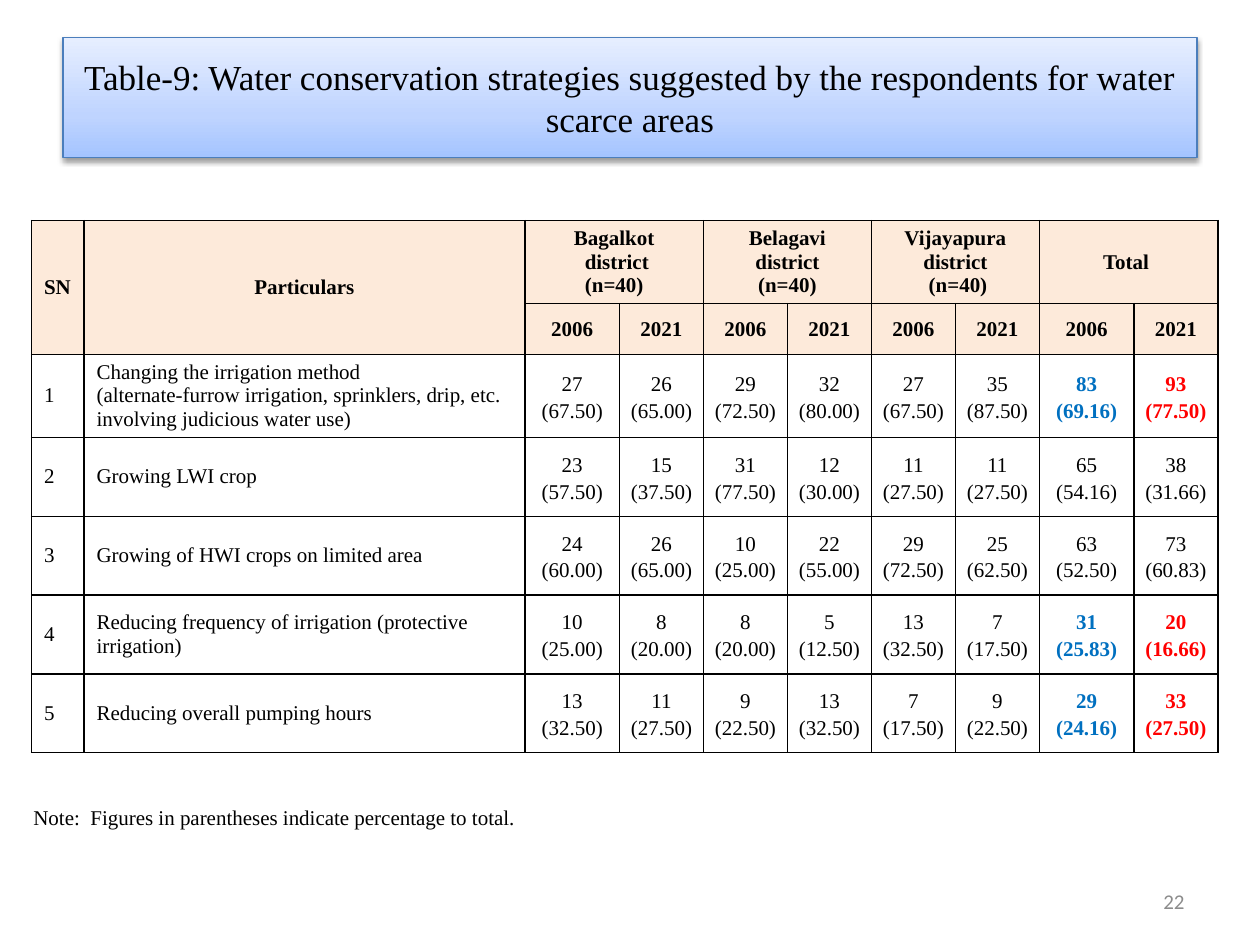
from copy import deepcopy

from lxml import etree
from pptx import Presentation
from pptx.dml.color import RGBColor
from pptx.enum.shapes import MSO_SHAPE
from pptx.enum.text import MSO_ANCHOR, PP_ALIGN
from pptx.oxml import parse_xml
from pptx.oxml.ns import qn
from pptx.util import Pt

RECTANGLE = MSO_SHAPE.RECTANGLE
TOP, MIDDLE = MSO_ANCHOR.TOP, MSO_ANCHOR.MIDDLE
LEFT, CENTER, RIGHT = PP_ALIGN.LEFT, PP_ALIGN.CENTER, PP_ALIGN.RIGHT
NAMESPACE = "http://schemas.openxmlformats.org/drawingml/2006/main"
COLORS = {
    "black": "000000", "header": "FDEADA", "blue": "0070C0", "red": "FF0000",
    "gray": "8C8C8C", "edge": "4B7EBC",
    "deep": "A4C4FF", "mid": "BFD4FF", "pale": "E6EEFF",
}
COLUMN_WIDTHS = [30, 252, 54, 48, 48, 48, 48, 48, 54, 48]
ROW_HEIGHTS = [47.5, 29, 47.5, 45, 45, 45, 45]
DISTRICT_SIZE = 40
GROUPS = [
    ["Bagalkot", " district", "(n=40)"],
    ["Belagavi district", "(n=40)"],
    ["Vijayapura district", " (n=40)"],
    ["Total "],
]
STRATEGIES = [
    (["Changing the irrigation method",
      "(alternate-furrow irrigation, sprinklers, drip, etc. involving judicious water use)"],
     [27, 26, 29, 32, 27, 35], True),
    (["Growing LWI crop"], [23, 15, 31, 12, 11, 11], False),
    (["Growing of HWI crops on limited area"], [24, 26, 10, 22, 29, 25], False),
    (["Reducing frequency of irrigation (protective irrigation)"],
     [10, 8, 8, 5, 13, 7], True),
    (["Reducing overall pumping hours"], [13, 11, 9, 13, 7, 9], True),
]


class SlideBuilder:
    """Draws styled elements on the current slide."""

    def __init__(self, page):
        self.page = page
        self.font = {"name": "Times New Roman", "size": Pt(12), "bold": False}

    def color(self, name):
        return RGBColor.from_string(COLORS[name])

    def fill_text(self, frame, lines, align=LEFT, color="black", spacing=None, **changes):
        for index, line in enumerate(lines):
            para = frame.add_paragraph() if index else frame.paragraphs[0]
            para.alignment = align
            para.line_spacing = spacing
            span = para.add_run()
            span.text = line
            for name, value in {**self.font, **changes}.items():
                setattr(span.font, name, value)
            span.font.color.rgb = self.color(color)

    def text(self, bounds, line, anchor=TOP, **style):
        box = self.page.shapes.add_textbox(*map(Pt, bounds))
        box.text_frame.word_wrap = True
        box.text_frame.vertical_anchor = anchor
        self.fill_text(box.text_frame, [line], **style)

    def banner(self, bounds, line, stops):
        box = self.page.shapes.add_shape(RECTANGLE, *map(Pt, bounds))
        box.line.color.rgb = self.color("edge")
        box.line.width = Pt(0.75)
        box.fill.gradient()
        stop_list = box._element.spPr.find(".//" + qn("a:gsLst"))
        stop_list.append(deepcopy(stop_list[-1]))
        for stop, (position, name) in zip(box.fill.gradient_stops, stops):
            stop.position = position
            stop.color.rgb = self.color(name)
        box.fill.gradient_angle = 90
        box.shadow.inherit = False
        box._element.spPr.find(qn("a:effectLst")).append(parse_xml(
            f'<a:outerShdw xmlns:a="{NAMESPACE}" blurRad="{Pt(3.1)}" dist="{Pt(1.6)}" '
            f'dir="5400000" rotWithShape="0"><a:srgbClr val="{COLORS["black"]}">'
            '<a:alpha val="38000"/></a:srgbClr></a:outerShdw>'))
        box.text_frame.word_wrap = True
        box.text_frame.vertical_anchor = MIDDLE
        self.fill_text(box.text_frame, [line], CENTER, size=Pt(20))

    def border(self, cell):
        properties = cell._tc.get_or_add_tcPr()
        for index, side in enumerate(("a:lnL", "a:lnR", "a:lnT", "a:lnB")):
            line = etree.Element(qn(side), w=str(Pt(1)))
            fill = etree.SubElement(line, qn("a:solidFill"))
            etree.SubElement(fill, qn("a:srgbClr"), val=COLORS["black"])
            properties.insert(index, line)

    def table(self, left, top, widths, heights, header_rows):
        grid = self.page.shapes.add_table(
            len(heights), len(widths), Pt(left), Pt(top),
            Pt(sum(widths)), Pt(sum(heights))).table
        grid.first_row = grid.horz_banding = False
        for column, width in zip(grid.columns, widths):
            column.width = Pt(width)
        for index, (row, height) in enumerate(zip(grid.rows, heights)):
            row.height = Pt(height)
            for cell in row.cells:
                cell.vertical_anchor = MIDDLE
                if index < header_rows:
                    cell.fill.solid()
                    cell.fill.fore_color.rgb = self.color("header")
                else:
                    cell.fill.background()
                self.border(cell)
        return grid

    def header(self, grid):
        for column, (label, align) in enumerate([("SN", LEFT), ("Particulars", CENTER)]):
            grid.cell(0, column).merge(grid.cell(1, column))
            self.fill_text(grid.cell(0, column).text_frame, [label], align, bold=True)
        for index, lines in enumerate(GROUPS):
            first = 2 + 2 * index
            grid.cell(0, first).merge(grid.cell(0, first + 1))
            self.fill_text(grid.cell(0, first).text_frame, lines, CENTER, bold=True)
            for offset, year in enumerate(["2006", "2021"]):
                self.fill_text(grid.cell(1, first + offset).text_frame, [year], CENTER, bold=True)

    def count(self, cell, number, base, **style):
        margins = {"margin_left": 5.76, "margin_right": 5.76,
                   "margin_top": 7.2, "margin_bottom": 7.2}
        for name, value in margins.items():
            setattr(cell, name, Pt(value))
        percent = number * 10000 // base / 100
        self.fill_text(cell.text_frame, [str(number), f"({percent:.2f})"],
                       CENTER, spacing=1.15, **style)

    def strategy(self, grid, number, lines, counts, highlighted):
        cells = list(grid.rows[number + 1].cells)
        self.fill_text(cells[0].text_frame, [str(number)])
        self.fill_text(cells[1].text_frame, lines)
        for cell, value in zip(cells[2:8], counts):
            self.count(cell, value, DISTRICT_SIZE)
        for offset, color in enumerate(["blue", "red"]):
            style = {"color": color, "bold": True} if highlighted else {}
            self.count(cells[8 + offset], sum(counts[offset::2]), 3 * DISTRICT_SIZE, **style)


def main():
    deck = Presentation()
    deck.slide_width, deck.slide_height = Pt(720), Pt(540)
    builder = SlideBuilder(deck.slides.add_slide(deck.slide_layouts[6]))
    builder.banner(
        (36, 21.6, 648, 68.4),
        "Table-9: Water conservation strategies suggested by the respondents "
        "for water scarce areas",
        [(0, "deep"), (0.35, "mid"), (1, "pale")])
    grid = builder.table(18, 126, COLUMN_WIDTHS, ROW_HEIGHTS, header_rows=2)
    builder.header(grid)
    for number, strategy in enumerate(STRATEGIES, 1):
        builder.strategy(grid, number, *strategy)
    builder.text((12, 456, 360, 21.6),
                 "Note:  Figures in parentheses indicate percentage to total.")
    builder.text((516, 500.4, 168, 28.8), "22", MIDDLE,
                 align=RIGHT, color="gray", name="Calibri")
    deck.save("out.pptx")


if __name__ == "__main__":
    main()
